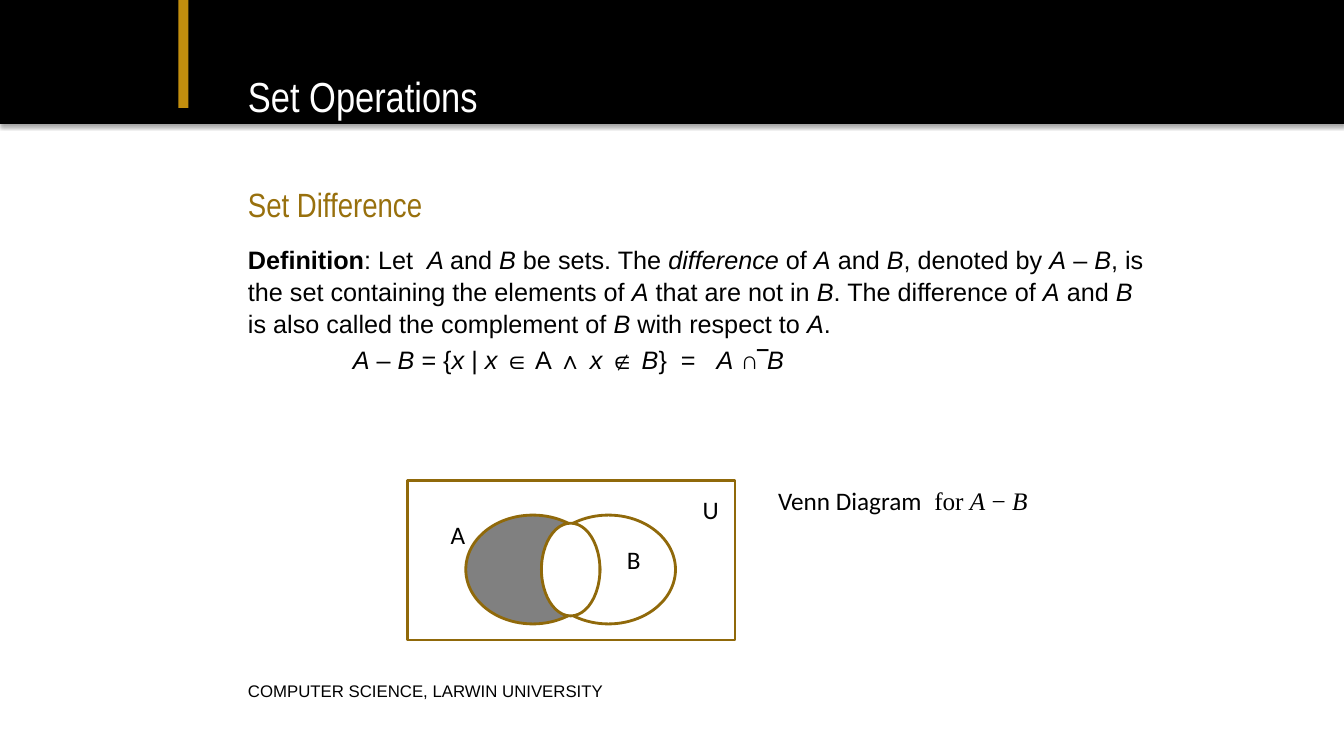
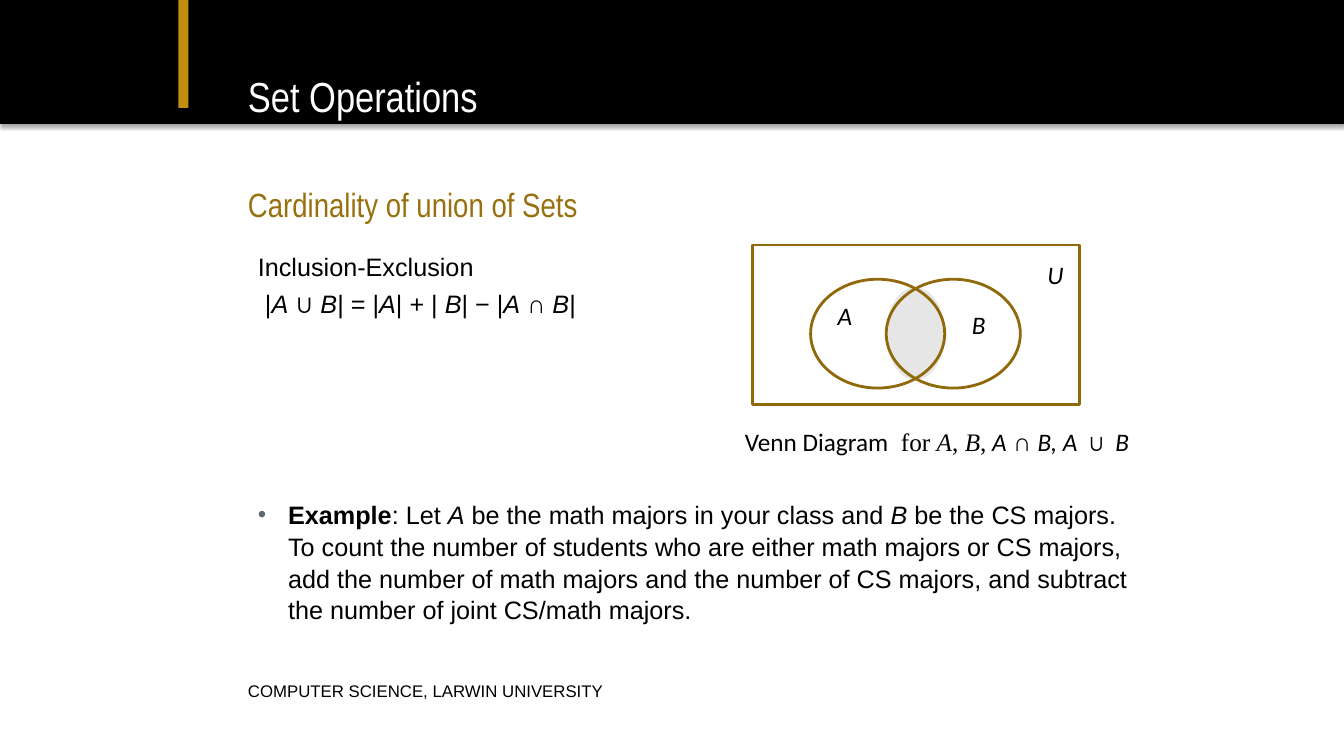
from lxml.etree import SubElement
from pptx import Presentation
from pptx.dml.color import RGBColor
from pptx.enum.shapes import MSO_SHAPE as SHAPE
from pptx.enum.text import MSO_ANCHOR as ANCHOR
from pptx.oxml.ns import qn
from pptx.util import Inches, Pt


def rgb(value):
    return RGBColor.from_string(value)


def add_text(p, text, size=18, font="Arial", color="000000", bold=False):
    for i, part in enumerate(text.split("*")):
        if part:
            r = p.add_run()
            r.text = part
            r.font.size = Pt(size)
            r.font.name = font
            r.font.color.rgb = rgb(color)
            r.font.bold = bold
            r.font.italic = i % 2 == 1


def add_shadow(sp):
    effects = sp._element.spPr.find(qn("a:effectLst"))
    outer = SubElement(effects, qn("a:outerShdw"), blurRad=str(Pt(3.1)),
                       dist=str(Pt(1.8)), dir="5400000", rotWithShape="0")
    color = SubElement(outer, qn("a:srgbClr"), val="000000")
    SubElement(color, qn("a:alpha"), val="35000")


def add_bullet(p, color, percent):
    pPr = p._p.get_or_add_pPr()
    bu_color = SubElement(pPr, qn("a:buClr"))
    SubElement(bu_color, qn("a:srgbClr"), val=color)
    SubElement(pPr, qn("a:buSzPct"), val=str(percent * 1000))
    SubElement(pPr, qn("a:buFont"), typeface="Arial")
    SubElement(pPr, qn("a:buChar"), char="•")


def indent(p, left, first=0):
    pPr = p._p.get_or_add_pPr()
    pPr.set("marL", str(Inches(left)))
    pPr.set("indent", str(Inches(first)))


class Deck:
    """Holds the lecture style and the slide being built."""

    BLACK, WHITE, GOLD = "000000", "FFFFFF", "C28E0E"
    HEADING, OUTLINE = "98700D", "90690A"
    NARROW, LABEL, SERIF = "Arial Narrow", "Calibri", "Times New Roman"
    LEFT = 2.46
    CIRCLE = (1.33, 1.08)
    LENS = (0.58, 0.92)

    def __init__(self):
        self.prs = Presentation()
        self.prs.slide_width = Inches(13.33)
        self.prs.slide_height = Inches(7.5)

    def new_slide(self, heading):
        self.s = self.prs.slides.add_slide(self.prs.slide_layouts[6])
        add_shadow(self.shape(SHAPE.RECTANGLE, 0, -0.01, 13.33, 1.24, fill=self.BLACK))
        add_shadow(self.shape(SHAPE.RECTANGLE, 1.77, 0, 0.1, 1.07, fill=self.GOLD))
        self.line_of_text("Set Operations", 0.66, 0.58,
                          size=30, font=self.NARROW, color=self.WHITE)
        self.line_of_text(heading, 1.79, 0.46,
                          size=24, font=self.NARROW, color=self.HEADING)
        self.line_of_text("COMPUTER SCIENCE, LARWIN UNIVERSITY", 6.73, 0.24, size=12)

    def shape(self, kind, left, top, width, height, fill=None, line=None):
        sp = self.s.shapes.add_shape(kind, Inches(left), Inches(top),
                                     Inches(width), Inches(height))
        sp.shadow.inherit = False
        if fill:
            sp.fill.solid()
            sp.fill.fore_color.rgb = rgb(fill)
        else:
            sp.fill.background()
        if line:
            sp.line.color.rgb = rgb(line)
            sp.line.width = Pt(2)
        else:
            sp.line.fill.background()
        return sp

    def box(self, left, top, width, height, inset=True, anchor=ANCHOR.TOP):
        sp = self.s.shapes.add_textbox(Inches(left), Inches(top),
                                       Inches(width), Inches(height))
        tf = sp.text_frame
        tf.word_wrap = True
        tf.vertical_anchor = anchor
        if not inset:
            tf.margin_left = tf.margin_right = tf.margin_top = tf.margin_bottom = 0
        return tf

    def line_of_text(self, text, top, height, **fmt):
        tf = self.box(self.LEFT, top, 8.9, height, inset=False, anchor=ANCHOR.MIDDLE)
        add_text(tf.paragraphs[0], text, **fmt)

    def body(self, top, height, count=1, inset=True):
        tf = self.box(self.LEFT, top, 9, height, inset)
        paragraphs = [tf.paragraphs[0]] + [tf.add_paragraph() for _ in range(count - 1)]
        for i, p in enumerate(paragraphs):
            p.line_spacing = 1.05
            p.space_before = Pt(3.6 if i else 0)
        return paragraphs

    def caption(self, left, top, width):
        p = self.box(left, top, width, 0.4).paragraphs[0]
        add_text(p, "Venn Diagram", font=self.LABEL)
        return p

    def lens(self, left, top, fill, line=None):
        self.shape(SHAPE.OVAL, left + 1.33, top + 0.42, *self.LENS, fill=fill, line=line)

    def venn(self, left, top, labels, a_fill=None):
        self.shape(SHAPE.RECTANGLE, left, top, 3.25, 1.58, line=self.OUTLINE)
        for dx, fill in ((0.58, a_fill), (1.33, None)):
            self.shape(SHAPE.OVAL, left + dx, top + 0.34, *self.CIRCLE,
                       fill=fill, line=self.OUTLINE)
        for text, dx, dy in labels:
            p = self.box(left + dx, top + dy, 0.42, 0.4).paragraphs[0]
            add_text(p, text, font=self.LABEL)


def set_difference(deck):
    deck.new_slide("Set Difference")
    definition, formula = deck.body(2.41, 1.4, count=2, inset=False)
    add_text(definition, "Definition", bold=True)
    add_text(definition, ": Let  *A *and *B* be sets. The *difference* of *A* and *B*, "
             "denoted by *A* – *B*, is the set containing the elements of *A* that are "
             "not in *B*. The difference of *A* and *B* is also called the complement "
             "of *B* with respect to *A*.")
    indent(formula, 1.04)
    add_text(formula, "*A* – *B* = {*x *| *x* ∈ A ∧ *x *∉ *B*}  =   *A* ∩")
    add_text(formula, "‾", bold=True)
    add_text(formula, "*B*")

    left, top = 4.04, 4.77
    deck.venn(left, top, [("U", 2.83, 0.08), ("A", 0.33, 0.33), ("B", 2.08, 0.58)],
              a_fill="808080")
    deck.lens(left, top, deck.WHITE, deck.OUTLINE)
    p = deck.caption(7.62, top, 3.83)
    add_text(p, "  for *A* − *B*", font=deck.SERIF)


def union_cardinality(deck):
    deck.new_slide("Cardinality of union of Sets")
    name, formula = deck.body(2.43, 0.8, count=2)
    add_text(name, "Inclusion-Exclusion")
    indent(formula, 0.07)
    add_text(formula, "|*A* ∪ *B*| = |*A*| + | *B*| − |*A* ∩ *B*|")

    left, top = 7.46, 2.43
    deck.lens(left, top, "E6E6E6")
    deck.venn(left, top, [("*U*", 2.83, 0.09), ("*A*", 0.75, 0.5), ("*B*", 2.08, 0.59)])
    p = deck.caption(7.29, 4.18, 4.33)
    for text, font in (("  for *A*, *B*,", deck.SERIF), ("* A*", deck.LABEL),
                       (" ∩ ", deck.SERIF), ("*B, A*", deck.LABEL),
                       (" ∪ ", deck.SERIF), ("*B*", deck.LABEL)):
        add_text(p, text, font=font)

    example, = deck.body(4.89, 1.4)
    indent(example, 0.3, -0.3)
    add_bullet(example, "5B6870", 95)
    add_text(example, "Example", bold=True)
    add_text(example, ": Let *A* be the math majors in your class and *B* be the CS "
             "majors. To count the number of students who are either math majors or CS "
             "majors, add the number of math majors and the number of CS majors, and "
             "subtract the number of joint CS/math majors.")


def main():
    deck = Deck()
    set_difference(deck)
    union_cardinality(deck)
    deck.prs.save("out.pptx")


if __name__ == "__main__":
    main()
